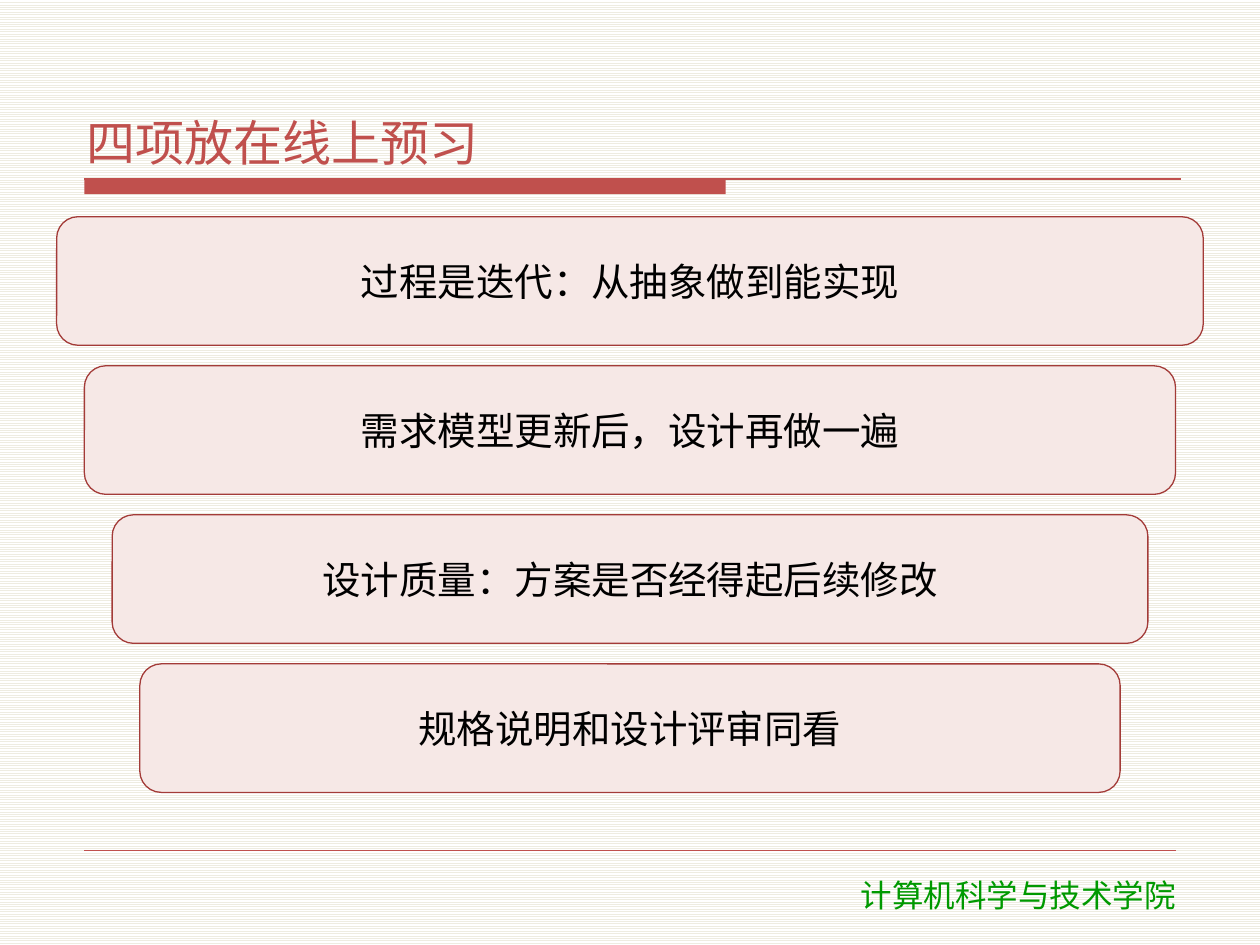
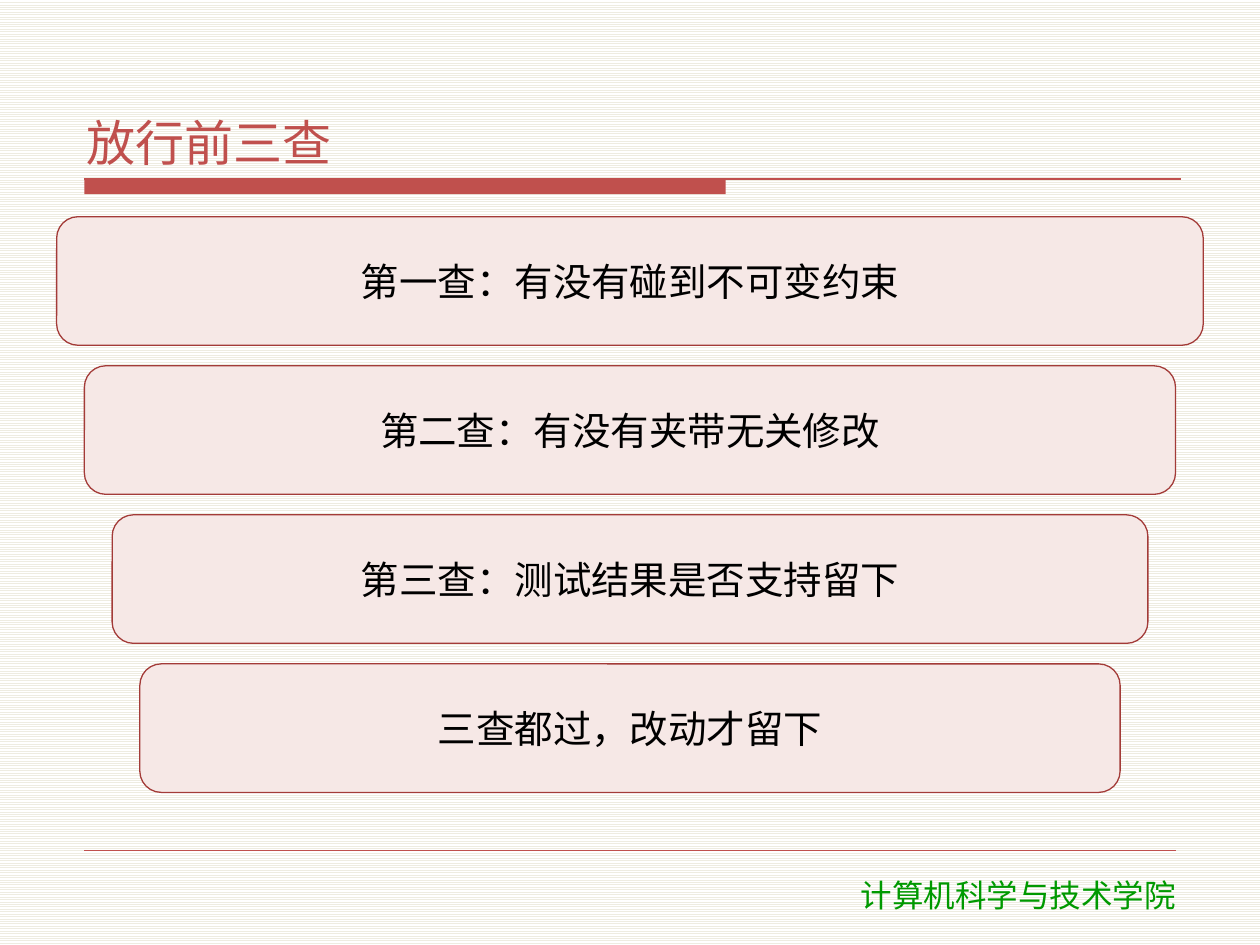
import pptx
import pptx.dml.color
import pptx.enum.dml
import pptx.enum.shapes
import pptx.enum.text
import pptx.oxml
import pptx.oxml.ns
import pptx.util
from pptx.util import Inches

RED, DARK_RED, PINK = "C0504D", "A33B38", "F6E8E6"
GREEN, BLACK, IVORY, WHITE = "009900", "000000", "EEECE1", "FFFFFF"
CJK_FONT, FOOTER_FONT = "Noto Sans CJK SC", "DejaVu Sans"
ALIGN = pptx.enum.text.PP_ALIGN
ANCHOR = pptx.enum.text.MSO_ANCHOR
SHAPE = pptx.enum.shapes.MSO_SHAPE

TIGHT_FRAME = {
    "word_wrap": True,
    "margin_left": Inches(0.06), "margin_right": Inches(0.06),
    "margin_top": Inches(0.02), "margin_bottom": Inches(0.02),
}
TITLE_FRAME = {**TIGHT_FRAME, "vertical_anchor": ANCHOR.BOTTOM}
STEP_FRAME = {**TIGHT_FRAME, "vertical_anchor": ANCHOR.MIDDLE}
FOOTER_FRAME = {"word_wrap": True, "vertical_anchor": ANCHOR.TOP}

FOOTER = "计算机科学与技术学院"
SLIDES = [
    ("四项放在线上预习", [
        "过程是迭代：从抽象做到能实现",
        "需求模型更新后，设计再做一遍",
        "设计质量：方案是否经得起后续修改",
        "规格说明和设计评审同看",
    ]),
    ("放行前三查", [
        "第一查：有没有碰到不可变约束",
        "第二查：有没有夹带无关修改",
        "第三查：测试结果是否支持留下",
        "三查都过，改动才留下",
    ]),
]

# Each step bar is narrower than the one above it by one inset per side
STEP_LEFT, STEP_TOP, STEP_WIDTH, STEP_HEIGHT = 0.45, 1.72, 9.1, 1.02
STEP_INSET, STEP_PITCH = 0.22, 1.183
# Start x, end x, y and weight in points
RULES = [(0.67, 9.37, 1.42, 0.75), (0.67, 9.33, 6.75, 0.25)]


def rgb(hex_colour):
    return pptx.dml.color.RGBColor.from_string(hex_colour)


def write(shape, text, frame_format, align, size, font_name, colour):
    """Fill a shape with one formatted paragraph."""
    frame = shape.text_frame
    for attribute, value in frame_format.items():
        setattr(frame, attribute, value)
    paragraph = frame.paragraphs[0]
    paragraph.alignment = align
    run = paragraph.add_run()
    run.text = text
    run.font.size = pptx.util.Pt(size)
    run.font.name = font_name
    run.font.color.rgb = rgb(colour)
    east_asian = pptx.oxml.parse_xml(
        f'<a:ea {pptx.oxml.ns.nsdecls("a")} typeface="{font_name}"/>')
    run.font._element.append(east_asian)


prs = pptx.Presentation()
prs.slide_width, prs.slide_height = Inches(10), Inches(7.5)

for title, steps in SLIDES:
    slide = prs.slides.add_slide(prs.slide_layouts[6])
    paper = slide.background.fill
    paper.patterned()
    paper.pattern = pptx.enum.dml.MSO_PATTERN.LIGHT_HORIZONTAL
    paper.fore_color.rgb = rgb(IVORY)
    paper.back_color.rgb = rgb(WHITE)

    title_band = slide.shapes.add_shape(
        SHAPE.RECTANGLE, Inches(0.67), Inches(1.42), Inches(5.09), Inches(0.12))
    title_band.shadow.inherit = False
    title_band.fill.solid()
    title_band.fill.fore_color.rgb = rgb(RED)
    title_band.line.fill.background()

    for start, end, y, weight in RULES:
        rule = slide.shapes.add_connector(
            pptx.enum.shapes.MSO_CONNECTOR.STRAIGHT,
            Inches(start), Inches(y), Inches(end), Inches(y))
        rule.line.color.rgb = rgb(RED)
        rule.line.width = pptx.util.Pt(weight)
        rule._element.spPr.append(pptx.oxml.parse_xml(
            f'<a:effectLst {pptx.oxml.ns.nsdecls("a")}/>'))

    school = slide.shapes.add_textbox(
        Inches(6.07), Inches(6.9), Inches(4.02), Inches(0.4))
    write(school, FOOTER, FOOTER_FRAME, ALIGN.CENTER, 18, FOOTER_FONT, GREEN)

    heading = slide.shapes.add_textbox(
        Inches(0.63), Inches(0.33), Inches(8.75), Inches(1.05))
    write(heading, title, TITLE_FRAME, ALIGN.LEFT, 28, CJK_FONT, RED)

    for row, step in enumerate(steps):
        inset = row * STEP_INSET
        step_bar = slide.shapes.add_shape(
            SHAPE.ROUNDED_RECTANGLE,
            Inches(STEP_LEFT + inset), Inches(STEP_TOP + row * STEP_PITCH),
            Inches(STEP_WIDTH - 2 * inset), Inches(STEP_HEIGHT))
        step_bar.shadow.inherit = False
        step_bar.fill.solid()
        step_bar.fill.fore_color.rgb = rgb(PINK)
        step_bar.line.color.rgb = rgb(DARK_RED)
        step_bar.line.width = pptx.util.Pt(0.75)
        write(step_bar, step, STEP_FRAME, ALIGN.CENTER, 22, CJK_FONT, BLACK)

prs.save("out.pptx")
